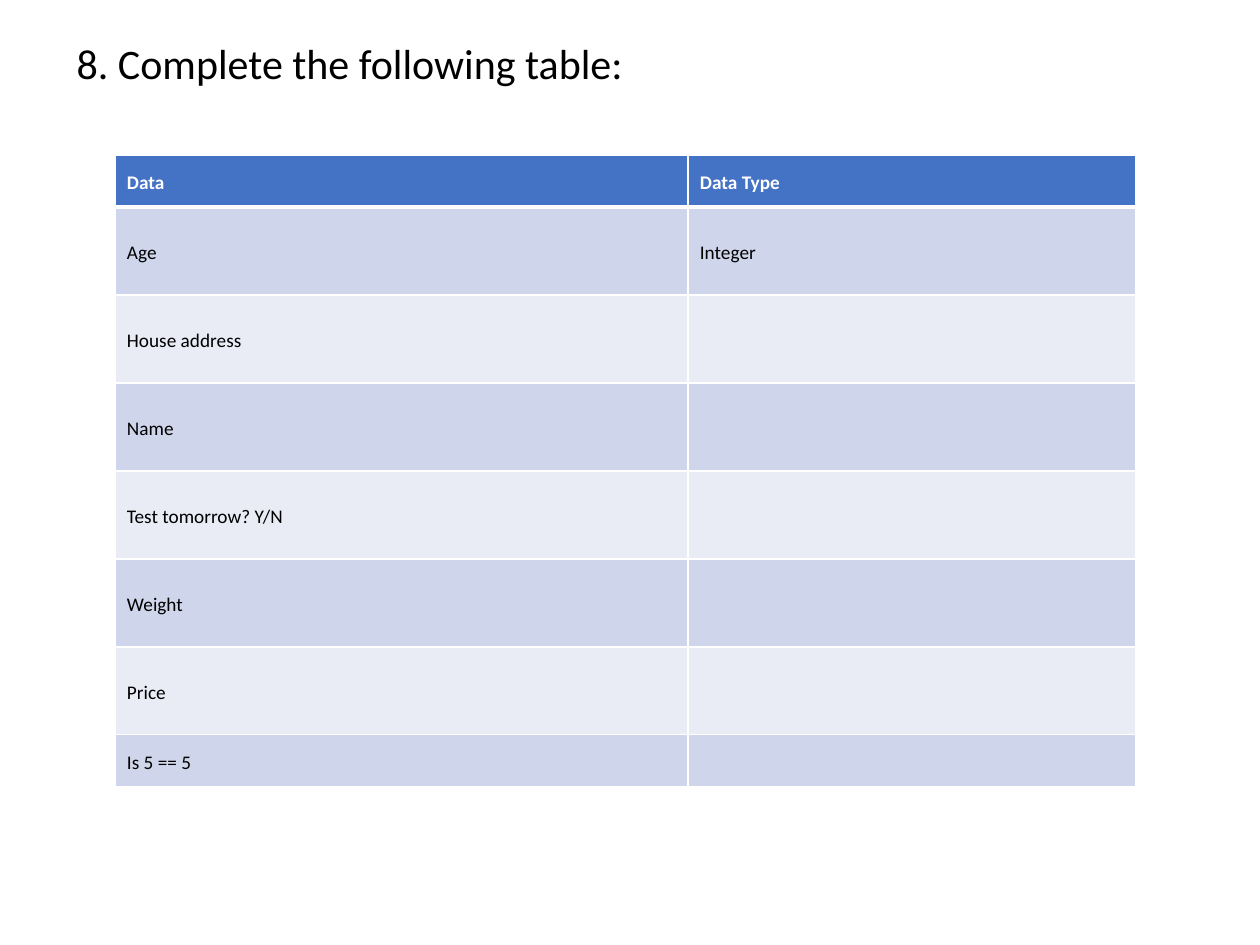
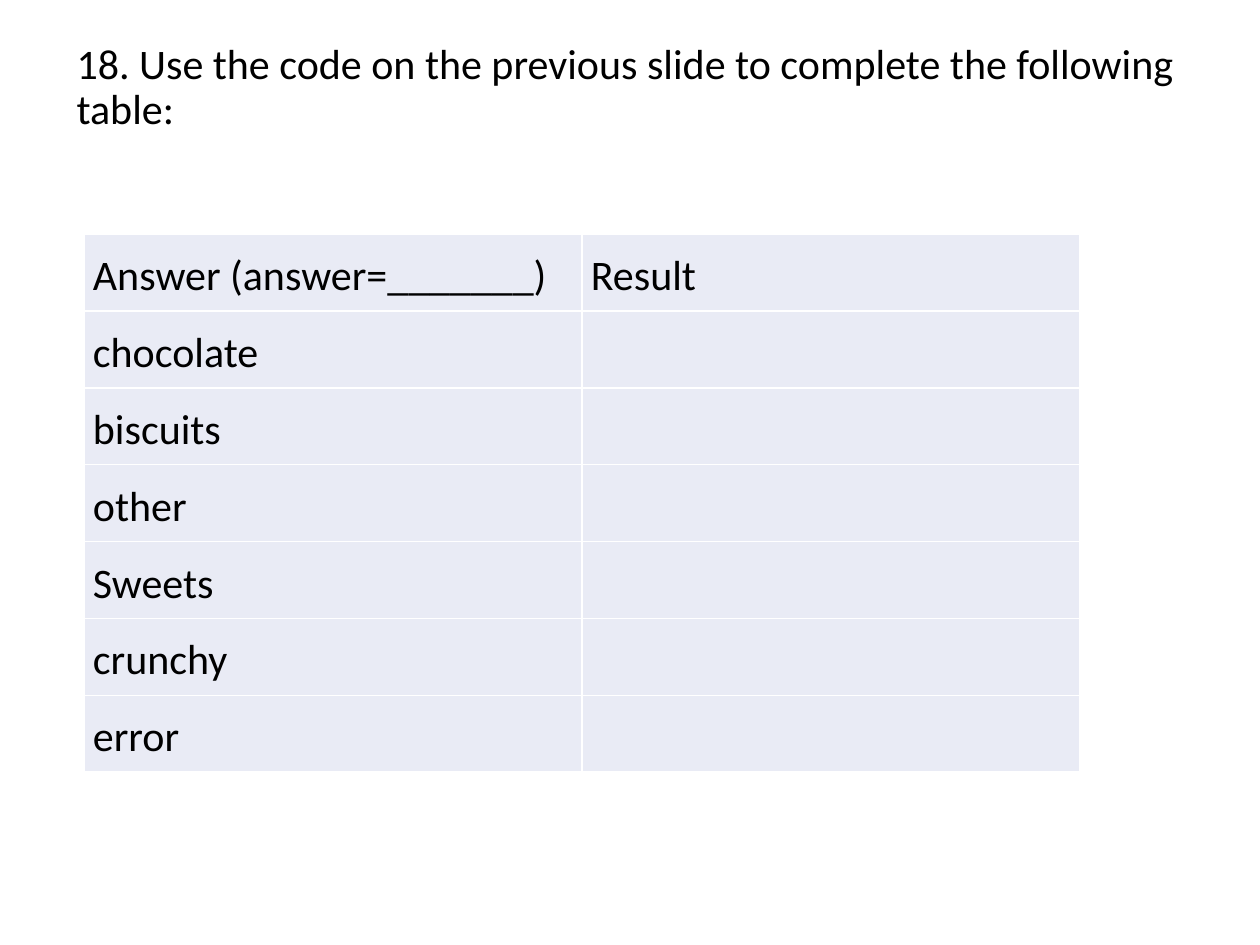
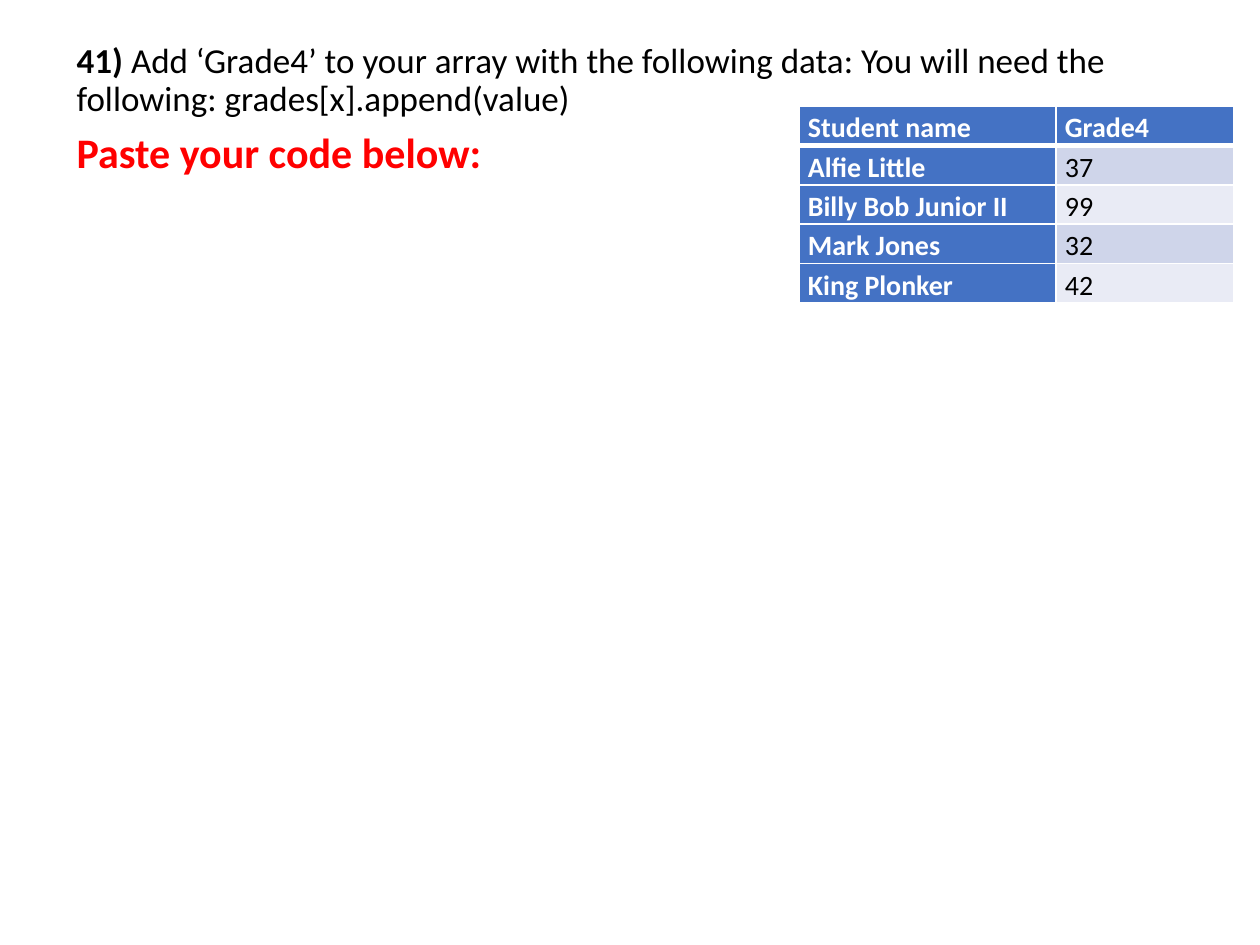
from dataclasses import dataclass

from lxml import etree
from pptx import Presentation
from pptx import util as u
from pptx.dml.color import RGBColor
from pptx.enum import text
from pptx.oxml.ns import qn

EMU_PER_PX = 914400 / 126


def px(n):
    return u.Emu(round(n * EMU_PER_PX))


@dataclass(frozen=True)
class Theme:
    font: str = "Calibri"
    ink: str = "000000"
    white: str = "FFFFFF"
    alert: str = "FF0000"
    accent: str = "4472C4"
    band_dark: str = "CFD5EA"
    band_light: str = "E9EBF5"
    large: int = 24
    medium: int = 20
    cell: int = 16
    small: int = 11


class Deck:
    def __init__(self, theme):
        self.theme = theme
        self.prs = Presentation()
        self.prs.slide_width, self.prs.slide_height = u.Inches(10), u.Inches(7.5)
        self.s = None

    def slide(self):
        self.s = self.prs.slides.add_slide(self.prs.slide_layouts[1])
        title = self.s.shapes.title._element
        title.getparent().remove(title)

    def style(self, r, size, color, bold=False):
        r.font.name, r.font.size, r.font.bold = self.theme.font, u.Pt(size), bold
        r.font.color.rgb = RGBColor.from_string(color)

    def question(self, *paragraphs):
        """Each paragraph is a list of (text, size, color, bold) runs."""
        sp = self.s.placeholders[1]
        sp.left, sp.top, sp.width, sp.height = px(64), px(37), px(1134), px(624)
        tf = sp.text_frame
        tf.word_wrap, tf.auto_size = True, text.MSO_AUTO_SIZE.NONE
        tf.vertical_anchor = text.MSO_ANCHOR.TOP
        for i, runs in enumerate(paragraphs):
            p = tf.add_paragraph() if i else tf.paragraphs[0]
            pPr = p._p.get_or_add_pPr()
            pPr.set("marL", "0")
            pPr.set("indent", "0")
            etree.SubElement(pPr, qn("a:buNone"))
            p.line_spacing = 0.9
            p.space_before = u.Pt(7.5 if i else 0)
            for words, *look in runs:
                r = p.add_run()
                r.text = words
                self.style(r, *look)

    def border(self, cell, heavy_bottom):
        tcPr = cell._tc.get_or_add_tcPr()
        for i, side in enumerate("LRTB"):
            width = 3 if heavy_bottom and side == "B" else 1
            ln = etree.Element(qn(f"a:ln{side}"), w=str(u.Pt(width)))
            fill = etree.SubElement(ln, qn("a:solidFill"))
            etree.SubElement(fill, qn("a:srgbClr"), val=self.theme.white)
            tcPr.insert(i, ln)

    def table(self, at, cols, heights, rows, size, inset,
              header=True, first_col=False, banded=True, middle=False):
        t = self.theme
        frame = self.s.shapes.add_table(len(rows), len(cols), px(at[0]), px(at[1]),
                                        px(sum(cols)), px(sum(heights)))
        tbl = frame.table
        tbl.first_row, tbl.first_col, tbl.horz_banding = header, first_col, banded
        for col, width in zip(tbl.columns, cols):
            col.width = px(width)
        for i, (row, height, values) in enumerate(zip(tbl.rows, heights, rows)):
            row.height = px(height)
            band = t.band_dark if banded and i % 2 else t.band_light
            for j, (cell, value) in enumerate(zip(row.cells, values)):
                strong = (header and i == 0) or (first_col and j == 0)
                cell.margin_left = cell.margin_right = px(inset[0])
                cell.margin_top = cell.margin_bottom = px(inset[1])
                cell.vertical_anchor = text.MSO_ANCHOR.MIDDLE if middle else text.MSO_ANCHOR.TOP
                cell.fill.solid()
                cell.fill.fore_color.rgb = RGBColor.from_string(t.accent if strong else band)
                self.border(cell, header and i == 0)
                p = cell.text_frame.paragraphs[0]
                p.text = value
                p.line_spacing = 1.15
                for r in p.runs:
                    self.style(r, size, t.white if strong else t.ink, strong)


def main():
    t = Theme()
    deck = Deck(t)

    # Question 8: data types
    deck.slide()
    deck.question([("8. Complete the following table:", t.large, t.ink)])
    items = ["House address", "Name", "Test tomorrow? Y/N", "Weight", "Price", "Is 5 == 5"]
    deck.table((115, 155), [573, 448], [52] + [88] * 6 + [52],
               [("Data", "Data Type"), ("Age", "Integer")] + [(item, "") for item in items],
               t.small, (12, 6), middle=True)

    # Question 18: answers and results
    deck.slide()
    deck.question([("18. Use the code on the previous slide to complete the following table:",
                    t.large, t.ink)])
    answers = ["chocolate", "biscuits", "other", "Sweets", "crunchy", "error"]
    deck.table((84, 234), [498, 498], [76] * 7,
               [("Answer (answer=_______)", "Result")] + [(answer, "") for answer in answers],
               t.large, (9, 9), header=False, banded=False)

    # Question 41: extra grade column
    deck.slide()
    deck.question(
        [("41) ", t.medium, t.ink, True),
         ("Add ‘Grade4’ to your array with the following data: You will need the "
          "following: grades[x].append(value)", t.medium, t.ink)],
        [("Paste your code below:", t.large, t.alert, True)])
    deck.table((799, 106), [257, 178], [39] * 5,
               [("Student name", "Grade4"), ("Alfie Little", "37"),
                ("Billy Bob Junior II", "99"), ("Mark Jones", "32"), ("King Plonker", "42")],
               t.cell, (9, 0), first_col=True)

    deck.prs.save("out.pptx")


if __name__ == "__main__":
    main()
